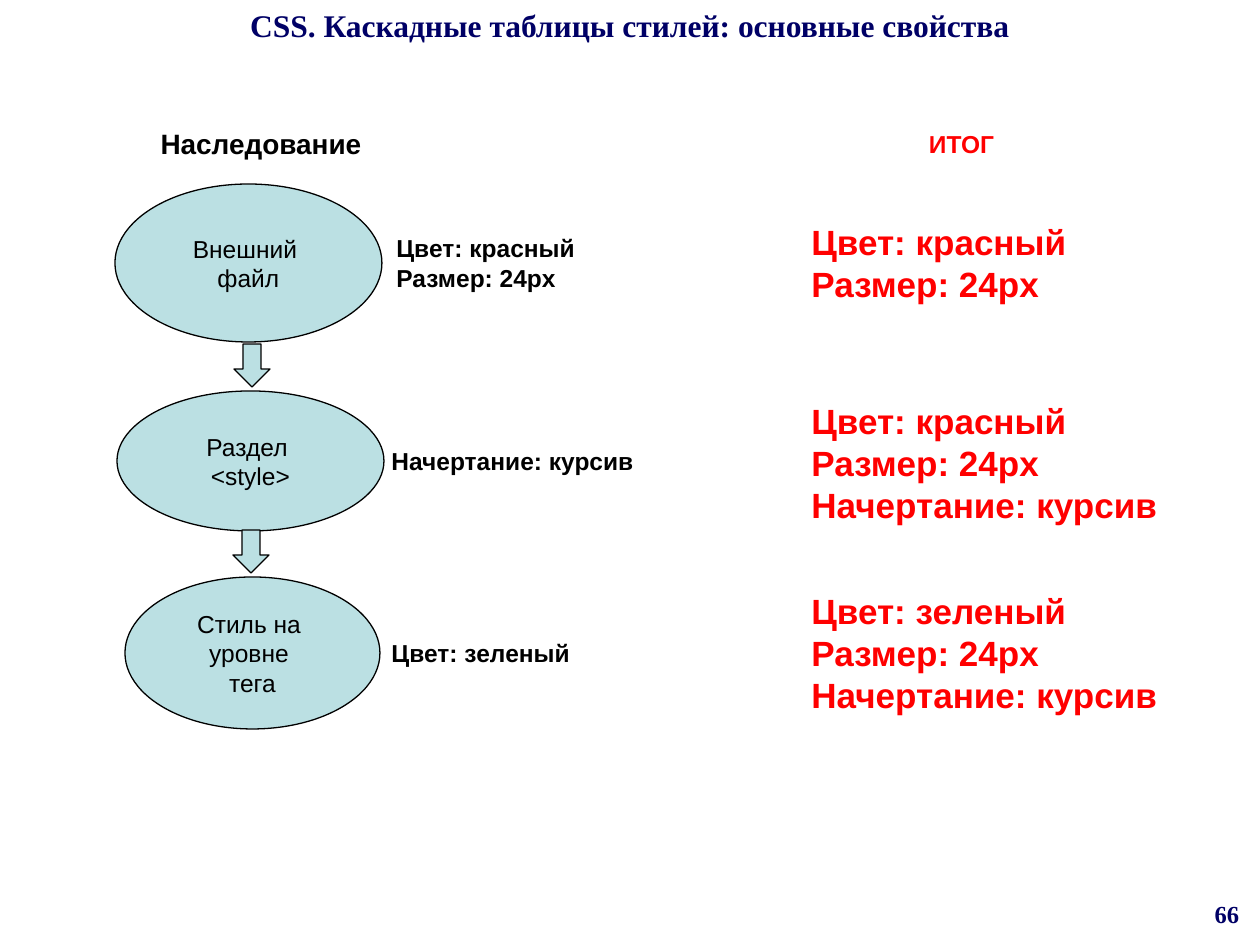
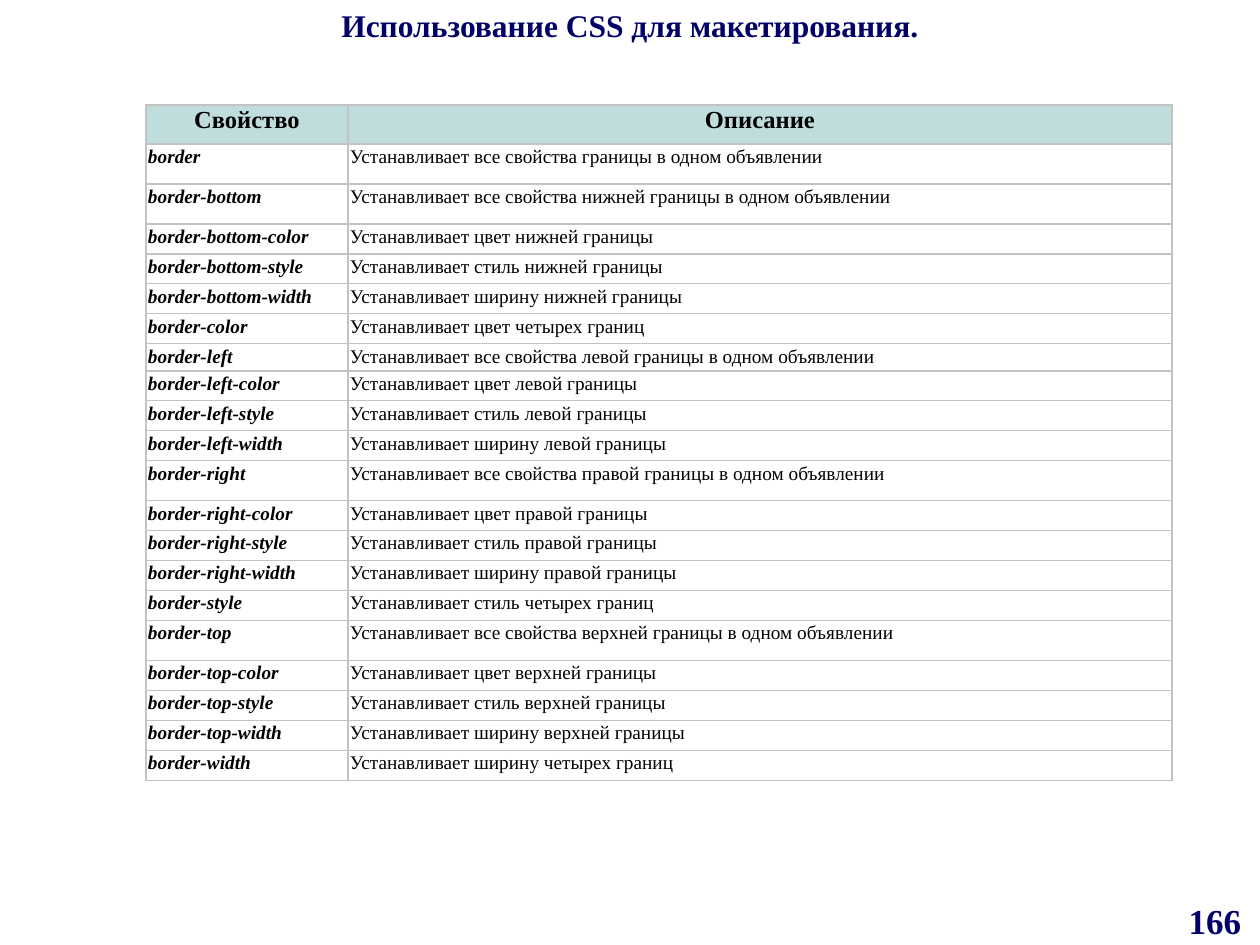
from lxml import etree
from pptx import Presentation
from pptx import util as u
from pptx.dml.color import RGBColor
from pptx.enum import shapes, text
from pptx.oxml import ns

SERIF, SANS = "Times New Roman", "Arial"
NAVY = RGBColor(0x00, 0x00, 0x66)
BLACK = RGBColor(0x00, 0x00, 0x00)
RED = RGBColor(0xFF, 0x00, 0x00)
WHITE = RGBColor(0xFF, 0xFF, 0xFF)
PALE_BLUE = RGBColor(0xBB, 0xE0, 0xE3)
HEADER_FILL = RGBColor(0xC0, 0xDD, 0xDD)
GRID = RGBColor(0xC3, 0xC3, 0xC3)
CENTER = text.PP_ALIGN.CENTER

INHERITANCE_TITLE = "CSS. Каскадные таблицы стилей: основные свойства"
LAYOUT_TITLE = "Использование CSS для макетирования."

# Each stage: oval text and place, its own rules, the resulting rules.
STAGES = [
    dict(name=["Внешний ", "файл"], oval=(115, 184, 267, 158),
         rules=["Цвет: красный", "Размер: 24px"], rules_at=(384, 227, 226, 72),
         result=["Цвет: красный", "Размер: 24px"], result_at=(799, 214, 420, 97)),
    dict(name=["Раздел ", "<style>"], oval=(117, 391, 267, 140),
         rules=["Начертание: курсив"], rules_at=(379, 440, 310, 43),
         result=["Цвет: красный", "Размер: 24px", "Начертание: курсив"],
         result_at=(799, 393, 420, 140)),
    dict(name=["Стиль на ", "уровне ", "тега"], oval=(125, 577, 255, 152),
         rules=["Цвет: зеленый"], rules_at=(379, 632, 420, 43),
         result=["Цвет: зеленый", "Размер: 24px", "Начертание: курсив"],
         result_at=(799, 583, 420, 140)),
]
ARROWS = [(234, 344, 36, 43), (233, 530, 36, 43)]

HEADER = ("Свойство", "Описание")
PROPERTIES = [
    ("border", "Устанавливает все свойства границы в одном объявлении"),
    ("border-bottom", "Устанавливает все свойства нижней границы в одном объявлении"),
    ("border-bottom-color", "Устанавливает цвет нижней границы"),
    ("border-bottom-style", "Устанавливает стиль нижней границы"),
    ("border-bottom-width", "Устанавливает ширину нижней границы"),
    ("border-color", "Устанавливает цвет четырех границ"),
    ("border-left", "Устанавливает все свойства левой границы в одном объявлении"),
    ("border-left-color", "Устанавливает цвет левой границы"),
    ("border-left-style", "Устанавливает стиль левой границы"),
    ("border-left-width", "Устанавливает ширину левой границы"),
    ("border-right", "Устанавливает все свойства правой границы в одном объявлении"),
    ("border-right-color", "Устанавливает цвет правой границы"),
    ("border-right-style", "Устанавливает стиль правой границы"),
    ("border-right-width", "Устанавливает ширину правой границы"),
    ("border-style", "Устанавливает стиль четырех границ"),
    ("border-top", "Устанавливает все свойства верхней границы в одном объявлении"),
    ("border-top-color", "Устанавливает цвет верхней границы"),
    ("border-top-style", "Устанавливает стиль верхней границы"),
    ("border-top-width", "Устанавливает ширину верхней границы"),
    ("border-width", "Устанавливает ширину четырех границ"),
]
TABLE_LEFT, TABLE_TOP = 146, 105
COLUMN_WIDTHS = (202, 824)
HEADER_HEIGHT, ROW_HEIGHT = 39, 30
SPECIAL_HEIGHTS = {"border": 40, "border-bottom": 40, "border-left": 26,
                   "border-right": 40, "border-top": 40}
CELL_MARGIN = 2


def px(length):
    return u.Emu(length * u.Inches(1) // 126)


def place(box):
    return [px(length) for length in box]


def add_span(para, words, size, font=SANS, color=BLACK, bold=True, italic=False):
    span = para.add_run()
    span.text = words
    span.font.name, span.font.size = font, u.Pt(size)
    span.font.bold, span.font.italic = bold, italic
    span.font.color.rgb = color


def add_text(page, box, lines, size, align=None, **style):
    frame = page.shapes.add_textbox(*place(box)).text_frame
    frame.word_wrap = True
    for index, line in enumerate(lines):
        para = frame.add_paragraph() if index else frame.paragraphs[0]
        para.alignment = align
        add_span(para, line, size, **style)
    return frame


def add_figure(page, kind, box):
    """Add a pale blue preset shape with a thin black outline."""
    figure = page.shapes.add_shape(kind, *place(box))
    figure.shadow.inherit = False
    figure.fill.solid()
    figure.fill.fore_color.rgb = PALE_BLUE
    figure.line.color.rgb = BLACK
    figure.line.width = u.Pt(0.75)
    return figure


def add_page(deck, title, number, number_box, number_size):
    page = deck.slides.add_slide(deck.slide_layouts[6])
    add_text(page, number_box, [number], number_size, CENTER, font=SERIF, color=NAVY)
    add_text(page, (0, 0, 1260, 79), [title], 18, CENTER, font=SERIF, color=NAVY)
    return page


def add_oval(page, box, lines):
    frame = add_figure(page, shapes.MSO_SHAPE.OVAL, box).text_frame
    frame.word_wrap = False
    frame.vertical_anchor = text.MSO_ANCHOR.MIDDLE
    para = frame.paragraphs[0]
    para.alignment = CENTER
    for index, line in enumerate(lines):
        if index:
            para.add_line_break()
        add_span(para, line, 14, bold=False)


def build_inheritance(deck):
    page = add_page(deck, INHERITANCE_TITLE, "66", (1194, 893, 66, 52), 14)
    add_text(page, (72, 120, 378, 49), ["Наследование"], 16, CENTER)
    outcome = add_text(page, (808, 123, 372, 43), ["ИТОГ"], 14, color=RED)
    outcome.margin_left = px(121)
    for stage in STAGES:
        add_oval(page, stage["oval"], stage["name"])
        add_text(page, stage["rules_at"], stage["rules"], 14)
        add_text(page, stage["result_at"], stage["result"], 20, color=RED)
    for box in ARROWS:
        add_figure(page, shapes.MSO_SHAPE.DOWN_ARROW, box)


def style_cell(cell, fill):
    """Set margins, grey borders on all sides and a plain fill."""
    cell.margin_left = cell.margin_right = px(CELL_MARGIN)
    cell.margin_top = cell.margin_bottom = px(CELL_MARGIN)
    properties = cell._tc.get_or_add_tcPr()
    for side in ("lnL", "lnR", "lnT", "lnB"):
        line = etree.SubElement(properties, ns.qn("a:" + side), w=str(u.Pt(0.75)))
        paint = etree.SubElement(line, ns.qn("a:solidFill"))
        etree.SubElement(paint, ns.qn("a:srgbClr"), val=str(GRID))
    cell.fill.solid()
    cell.fill.fore_color.rgb = fill


def build_properties(deck):
    page = add_page(deck, LAYOUT_TITLE, "166", (1170, 893, 90, 52), 20)
    rows = [HEADER] + PROPERTIES
    heights = [HEADER_HEIGHT] + [SPECIAL_HEIGHTS.get(name, ROW_HEIGHT)
                                 for name, _ in PROPERTIES]
    box = (TABLE_LEFT, TABLE_TOP, sum(COLUMN_WIDTHS), sum(heights))
    table = page.shapes.add_table(len(rows), len(HEADER), *place(box)).table
    table.first_row = table.horz_banding = False
    for column, width in zip(table.columns, COLUMN_WIDTHS):
        column.width = px(width)
    for r, (row, height) in enumerate(zip(rows, heights)):
        table.rows[r].height = px(height)
        for c, words in enumerate(row):
            cell = table.cell(r, c)
            is_header, is_name = r == 0, c == 0
            style_cell(cell, HEADER_FILL if is_header else WHITE)
            para = cell.text_frame.paragraphs[0]
            para.alignment = CENTER if is_header else None
            add_span(para, words, 14 if is_header else 11, font=SERIF,
                     bold=is_header or is_name, italic=is_name and not is_header)


def main():
    deck = Presentation()
    deck.slide_width, deck.slide_height = px(1260), px(945)
    build_inheritance(deck)
    build_properties(deck)
    deck.save("out.pptx")


if __name__ == "__main__":
    main()
